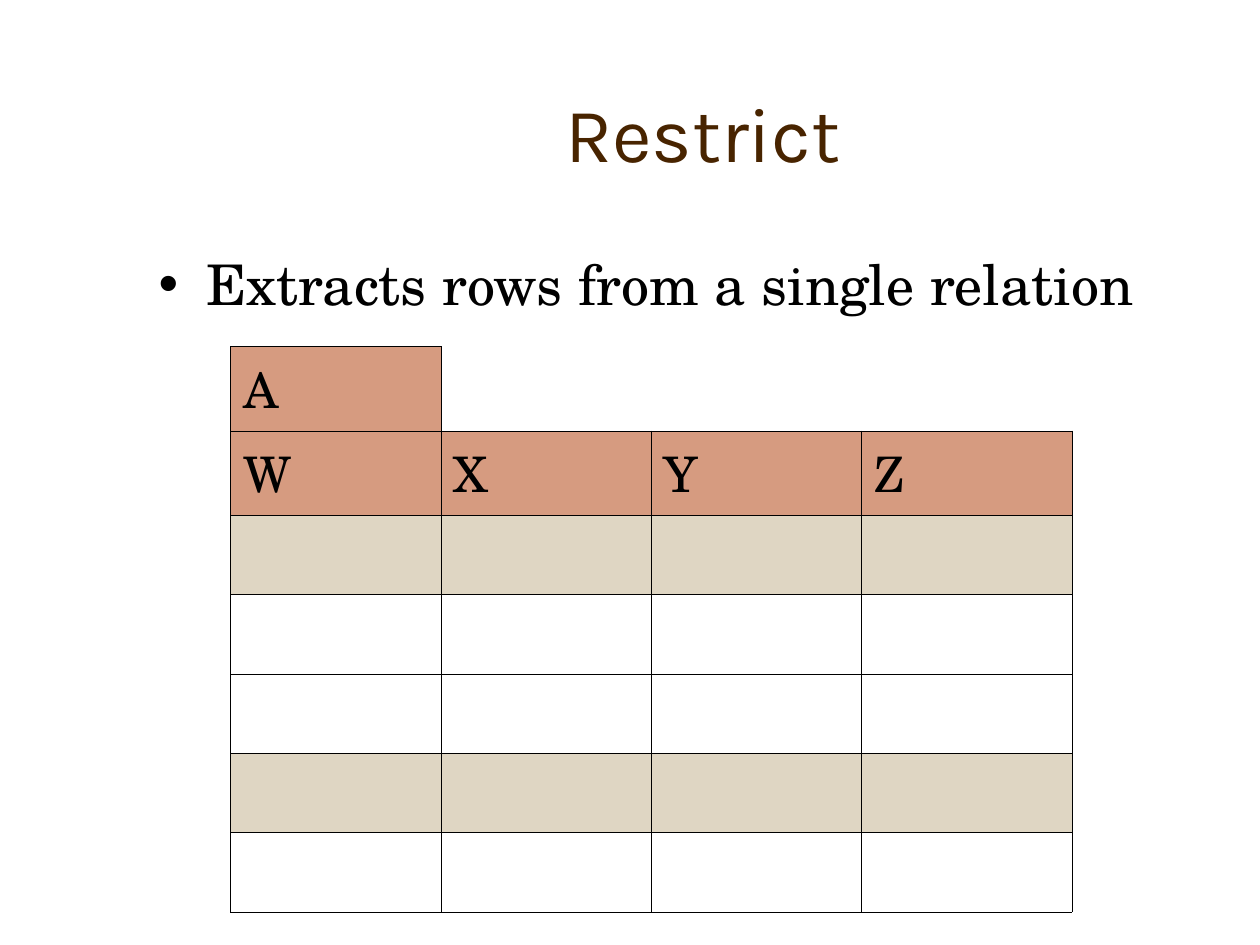
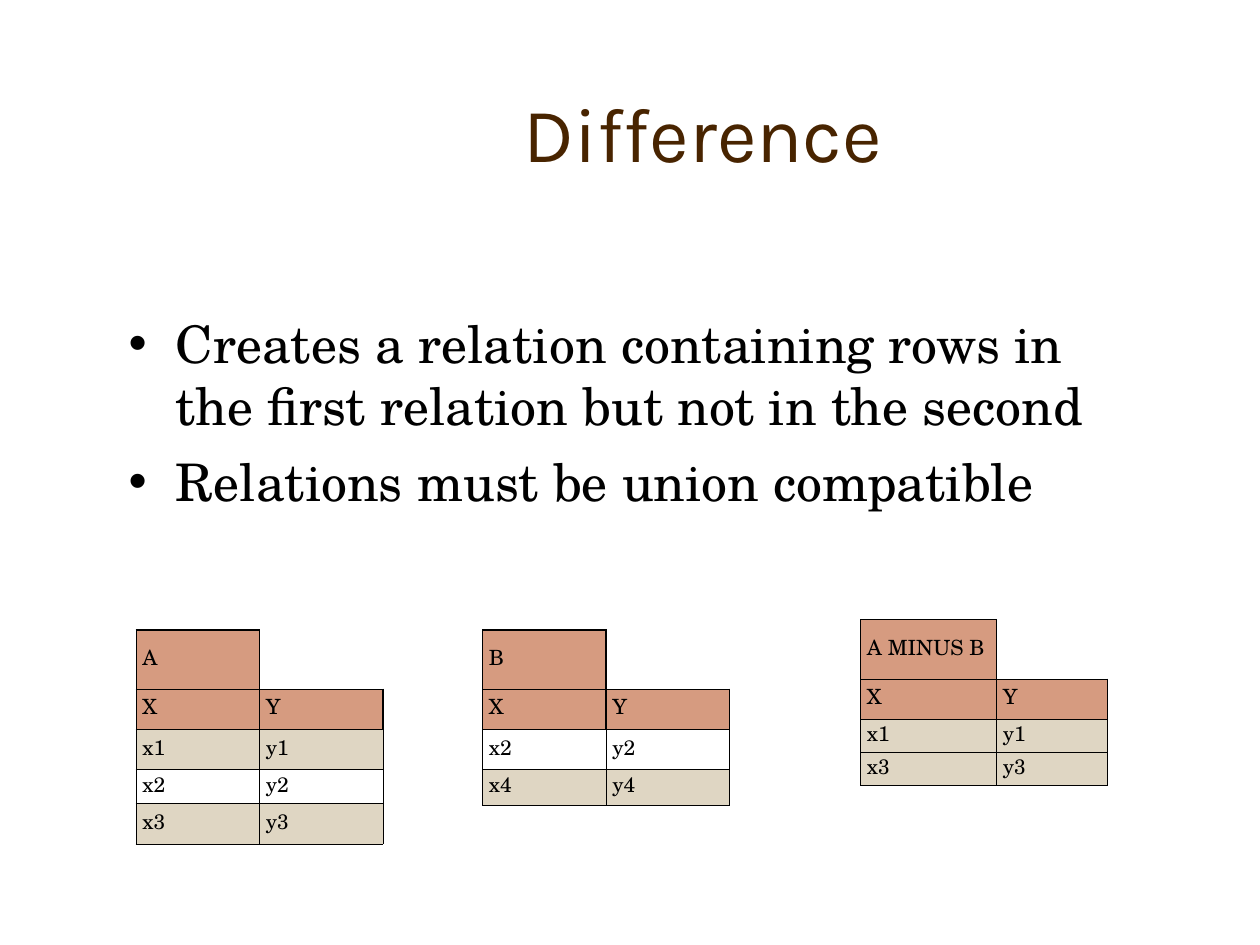
import pptx
import pptx.dml.color
import pptx.enum.text
import pptx.oxml
import pptx.oxml.ns
import pptx.util
from dataclasses import dataclass

Inches = pptx.util.Inches
Pt = pptx.util.Pt
MIDDLE = pptx.enum.text.MSO_ANCHOR.MIDDLE
TOP = pptx.enum.text.MSO_ANCHOR.TOP

SLIDES = [
    {
        "title": "Restrict",
        "points": ["Extracts rows from a single relation"],
        "points_at": (1.16, 1.93, 8.5, 4.5),
        "points_size": 32,
        "style": "large",
        "relations": [
            {
                "name": "A",
                "attributes": ["W", "X", "Y", "Z"],
                "tuples": [[""] * 4] * 5,
                "shaded": {0, 3},
                "corner": (1.83, 2.75),
                "widths": [1.67] * 4,
                "heights": [0.67] * 2 + [0.63] * 5,
            },
        ],
    },
    {
        "title": "Difference",
        "points": [
            "Creates a relation containing rows in the first relation but not in the second",
            "Relations must be union compatible",
        ],
        "points_at": (0.92, 2.42, 8.08, 2),
        "points_size": 29.6,
        "style": "small",
        "relations": [
            {
                "name": "A",
                "attributes": ["X", "Y"],
                "tuples": [["x1", "y1"], ["x2", "y2"], ["x3", "y3"]],
                "shaded": {0, 2},
                "corner": (1.08, 5),
                "widths": [0.98, 0.98],
                "heights": [0.47, 0.32, 0.32, 0.27, 0.32],
            },
            {
                "name": "B",
                "attributes": ["X", "Y"],
                "tuples": [["x2", "y2"], ["x4", "y4"]],
                "shaded": {1},
                "corner": (3.83, 5),
                "widths": [0.98, 0.98],
                "heights": [0.47, 0.32, 0.32, 0.28],
            },
            {
                "name": "A MINUS B",
                "attributes": ["X", "Y"],
                "tuples": [["x1", "y1"], ["x3", "y3"]],
                "shaded": {0, 1},
                "corner": (6.83, 4.92),
                "widths": [1.08, 0.88],
                "heights": [0.47, 0.32, 0.26, 0.26],
            },
        ],
    },
]


@dataclass(frozen=True)
class Theme:
    title_font: str = "Karla"
    text_font: str = "TeX Gyre Schola"
    title_size: float = 44
    title_color: str = "482400"
    text_color: str = "000000"
    header_fill: str = "D69B80"
    shaded_fill: str = "DFD6C3"
    plain_fill: str = "FFFFFF"
    grid_line: float = 0.45


THEME = Theme()
TITLE_AT = (1.33, 0.42, 8.5, 1.25)
CELL_STYLES = {
    "large": {
        "size": 28,
        "header_line": 0.45,
        "paragraph": {"space_before": Pt(7)},
        "cell": {"vertical_anchor": TOP, "margin_left": Inches(0.1),
                 "margin_right": Inches(0.1)},
    },
    "small": {
        "size": 12,
        "header_line": 0.75,
        "paragraph": {"space_before": Pt(3), "line_spacing": 0.6},
        "cell": {"vertical_anchor": MIDDLE, "margin_left": Inches(0.05),
                 "margin_right": Inches(0.05)},
    },
}


def apply(target, values):
    for name, value in values.items():
        setattr(target, name, value)


def set_font(font, family, size, color):
    apply(font, {"name": family, "size": Pt(size)})
    font.color.rgb = pptx.dml.color.RGBColor.from_string(color)


def place(placeholder, box):
    apply(placeholder, dict(zip(("left", "top", "width", "height"), map(Inches, box))))
    apply(placeholder.text_frame, {
        "word_wrap": True,
        "auto_size": pptx.enum.text.MSO_AUTO_SIZE.NONE,
    })


def set_borders(cell, widths):
    properties = cell._tc.get_or_add_tcPr()
    for position, side in enumerate("LRTB"):
        width = widths.get(side)
        paint = "<a:noFill/>"
        if width:
            paint = f'<a:solidFill><a:srgbClr val="{THEME.text_color}"/></a:solidFill>'
        border = pptx.oxml.parse_xml(
            f'<a:ln{side} {pptx.oxml.ns.nsdecls("a")} w="{Pt(width or 0)}">{paint}</a:ln{side}>')
        properties.insert(position, border)


def fill_cell(cell, text, fill, style):
    apply(cell, {**style["cell"], "margin_top": Inches(0.05), "margin_bottom": Inches(0.05)})
    cell.fill.solid()
    cell.fill.fore_color.rgb = pptx.dml.color.RGBColor.from_string(fill)
    if text:
        paragraph = cell.text_frame.paragraphs[0]
        apply(paragraph, style["paragraph"])
        run = paragraph.add_run()
        run.text = text
        set_font(run.font, THEME.text_font, style["size"], THEME.text_color)


def add_relation(slide, relation, style):
    widths, heights = relation["widths"], relation["heights"]
    box = (*relation["corner"], sum(widths), sum(heights))
    grid = slide.shapes.add_table(len(heights), len(widths), *map(Inches, box)).table
    apply(grid, {"first_row": False, "horz_banding": False})
    for column, width in zip(grid.columns, widths):
        column.width = Inches(width)
    for row, height in zip(grid.rows, heights):
        row.height = Inches(height)

    header_line = style["header_line"]
    rows = [[relation["name"]], relation["attributes"], *relation["tuples"]]
    for row_index, values in enumerate(rows):
        is_header = row_index < 2
        line = header_line if is_header else THEME.grid_line
        borders = dict.fromkeys("LRTB", line)
        if row_index == 2:
            borders["T"] = header_line
        fill = THEME.header_fill if is_header else THEME.plain_fill
        if row_index - 2 in relation["shaded"]:
            fill = THEME.shaded_fill
        for column_index, value in enumerate(values):
            cell = grid.cell(row_index, column_index)
            fill_cell(cell, value, fill, style)
            set_borders(cell, borders)

    for column_index in range(1, len(widths)):
        blank = grid.cell(0, column_index)
        blank.fill.background()
        set_borders(blank, {"L": header_line if column_index == 1 else None, "B": header_line})


def add_slide(deck, content):
    slide = deck.slides.add_slide(deck.slide_layouts[1])
    title, points = slide.shapes.title, slide.placeholders[1]
    place(title, TITLE_AT)
    title.text_frame.text = content["title"]
    title.text_frame.vertical_anchor = MIDDLE
    heading = title.text_frame.paragraphs[0]
    heading.alignment = pptx.enum.text.PP_ALIGN.CENTER
    set_font(heading.runs[0].font, THEME.title_font, THEME.title_size, THEME.title_color)

    place(points, content["points_at"])
    points.text_frame.text = "\n".join(content["points"])
    for point in points.text_frame.paragraphs:
        point.space_before = Pt(8)
        set_font(point.runs[0].font, THEME.text_font, content["points_size"], THEME.text_color)

    for relation in content["relations"]:
        add_relation(slide, relation, CELL_STYLES[content["style"]])


def main():
    deck = pptx.Presentation()
    apply(deck, {"slide_width": Inches(10), "slide_height": Inches(7.5)})
    for content in SLIDES:
        add_slide(deck, content)
    deck.save("out.pptx")


if __name__ == "__main__":
    main()
